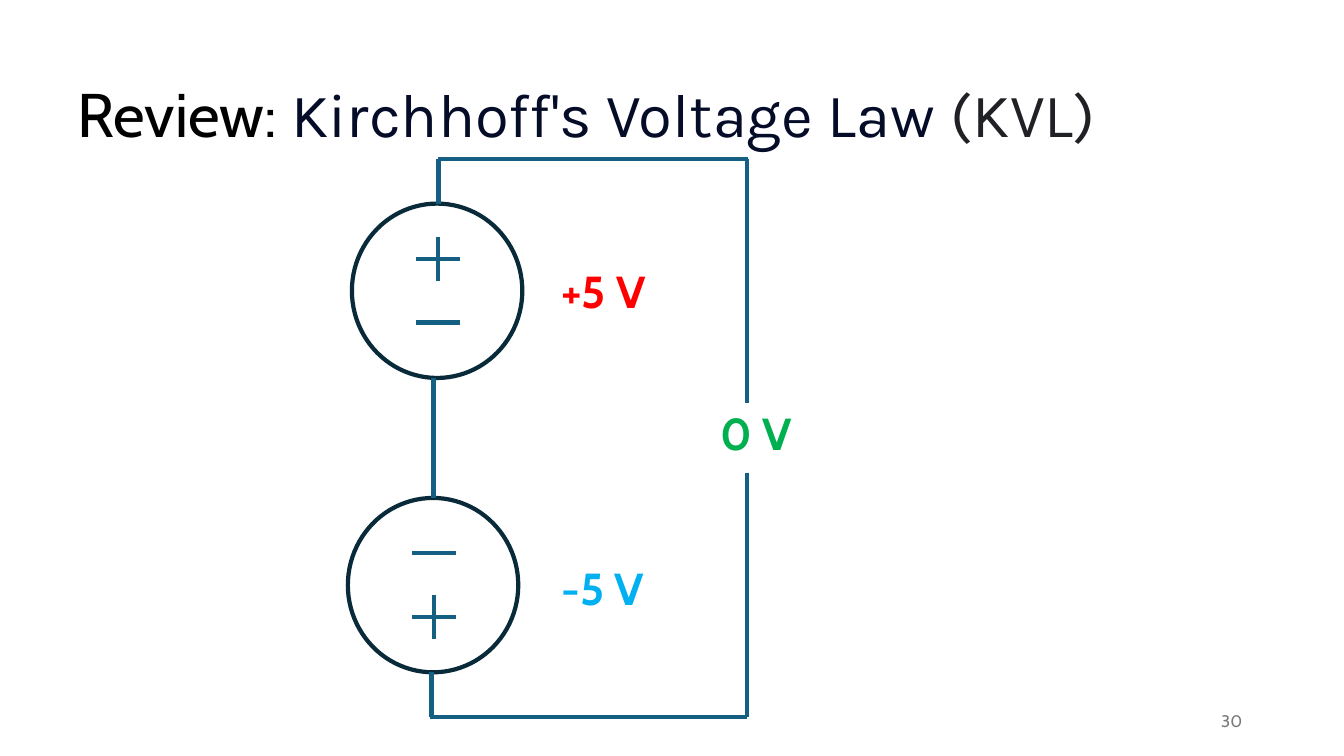
from lxml import etree
from pptx import Presentation
from pptx.dml.color import RGBColor
from pptx.enum.shapes import MSO_CONNECTOR, MSO_SHAPE
from pptx.enum.text import MSO_ANCHOR, PP_ALIGN
from pptx.oxml.ns import qn
from pptx.util import Inches, Pt

STRAIGHT = MSO_CONNECTOR.STRAIGHT
OVAL = MSO_SHAPE.OVAL
MIDDLE, TOP = MSO_ANCHOR.MIDDLE, MSO_ANCHOR.TOP
LEFT, RIGHT = PP_ALIGN.LEFT, PP_ALIGN.RIGHT

TITLE_ONLY_LAYOUT = 5
FONT = "Cabin"
WIRE, OUTLINE = "156082", "092A39"
SOURCE_WIDTH, SOURCE_HEIGHT = 1.69, 1.73
SIGN_SIZE = 0.44
SIGN_OFFSETS = (0.55, 1.18)


def color(value):
    return RGBColor.from_string(value)


def format_run(run, size, font, fill, bold=False):
    run.font.size = Pt(size)
    run.font.name = font
    run.font.bold = bold
    run.font.color.rgb = color(fill)


def add_title(slide, left, top, width, height):
    title = slide.shapes.title
    title.left, title.top = Inches(left), Inches(top)
    title.width, title.height = Inches(width), Inches(height)
    title.text_frame.vertical_anchor = MIDDLE
    paragraph = title.text_frame.paragraphs[0]
    paragraph.alignment = LEFT
    paragraph.line_spacing = 0.9
    for text, font, fill in (
        ("Review: ", FONT, "000000"),
        ("Kirchhoff's Voltage Law", "Karla", "040C28"),
        ("\u00a0(KVL)", "Karla", "202124"),
    ):
        run = paragraph.add_run()
        run.text = text
        format_run(run, 44, font, fill)


def add_label(slide, text, box, size, fill, bold=False, align=LEFT, anchor=TOP):
    label = slide.shapes.add_textbox(*(Inches(length) for length in box))
    frame = label.text_frame
    frame.word_wrap = True
    frame.vertical_anchor = anchor
    frame.text = text
    paragraph = frame.paragraphs[0]
    paragraph.alignment = align
    format_run(paragraph.runs[0], size, FONT, fill, bold)


def add_wire(slide, x1, y1, x2, y2):
    wire = slide.shapes.add_connector(
        STRAIGHT, Inches(x1), Inches(y1), Inches(x2), Inches(y2))
    wire.line.color.rgb = color(WIRE)
    wire.line.width = Pt(3)
    etree.SubElement(wire._element.spPr, qn("a:effectLst"))


def add_source(slide, left, top, plus_on_top):
    """Draw a voltage source: a circle holding a plus and a minus sign."""
    circle = slide.shapes.add_shape(
        OVAL, Inches(left), Inches(top), Inches(SOURCE_WIDTH), Inches(SOURCE_HEIGHT))
    circle.shadow.inherit = False
    circle.fill.background()
    circle.line.color.rgb = color(OUTLINE)
    circle.line.width = Pt(3)

    center = left + SOURCE_WIDTH / 2 + 0.01
    half = SIGN_SIZE / 2
    for offset in SIGN_OFFSETS:
        add_wire(slide, center - half, top + offset, center + half, top + offset)
    plus = top + SIGN_OFFSETS[0 if plus_on_top else 1]
    add_wire(slide, center, plus - half, center, plus + half)


def add_circuit(slide, left, top, width, height):
    """Draw two opposed sources in a loop whose right side is open at 0 V."""
    right, bottom = left + width, top + height
    lead = 0.44
    upper_top = top + lead
    lower_top = bottom - lead - SOURCE_HEIGHT
    upper_lead, lower_lead, link = left + 0.9, left + 0.83, left + 0.85

    add_source(slide, left + 0.04, upper_top, plus_on_top=True)
    add_source(slide, left, lower_top, plus_on_top=False)
    add_wire(slide, link, upper_top + SOURCE_HEIGHT, link, lower_top)

    add_wire(slide, upper_lead, upper_top, upper_lead, top)
    add_wire(slide, upper_lead - 0.01, top, right + 0.01, top)
    add_wire(slide, lower_lead, bottom - lead, lower_lead, bottom)
    add_wire(slide, lower_lead - 0.01, bottom, right, bottom)
    add_wire(slide, right, top, right, top + 2.42)
    add_wire(slide, right, bottom - 2.42, right, bottom)

    for text, x, y, fill in (
        ("+5 V", left + 2.02, upper_top + 0.55, "FF0000"),
        ("-5 V", left + 2.02, lower_top + 0.57, "00B0F0"),
        ("0 V", right - 0.36, top + 2.4, "00B050"),
    ):
        add_label(slide, text, (x, y, 1.83, 0.64), 32, fill, bold=True)


def main():
    presentation = Presentation()
    presentation.slide_width = Inches(13.33)
    presentation.slide_height = Inches(7.5)
    slide = presentation.slides.add_slide(
        presentation.slide_layouts[TITLE_ONLY_LAYOUT])
    add_title(slide, 0.67, 0.58, 12, 1.17)
    add_circuit(slide, 3.45, 1.58, 3.96, 5.53)
    add_label(slide, "30", (9.42, 6.95, 3, 0.4), 12, "797979",
              align=RIGHT, anchor=MIDDLE)
    presentation.save("out.pptx")


if __name__ == "__main__":
    main()
